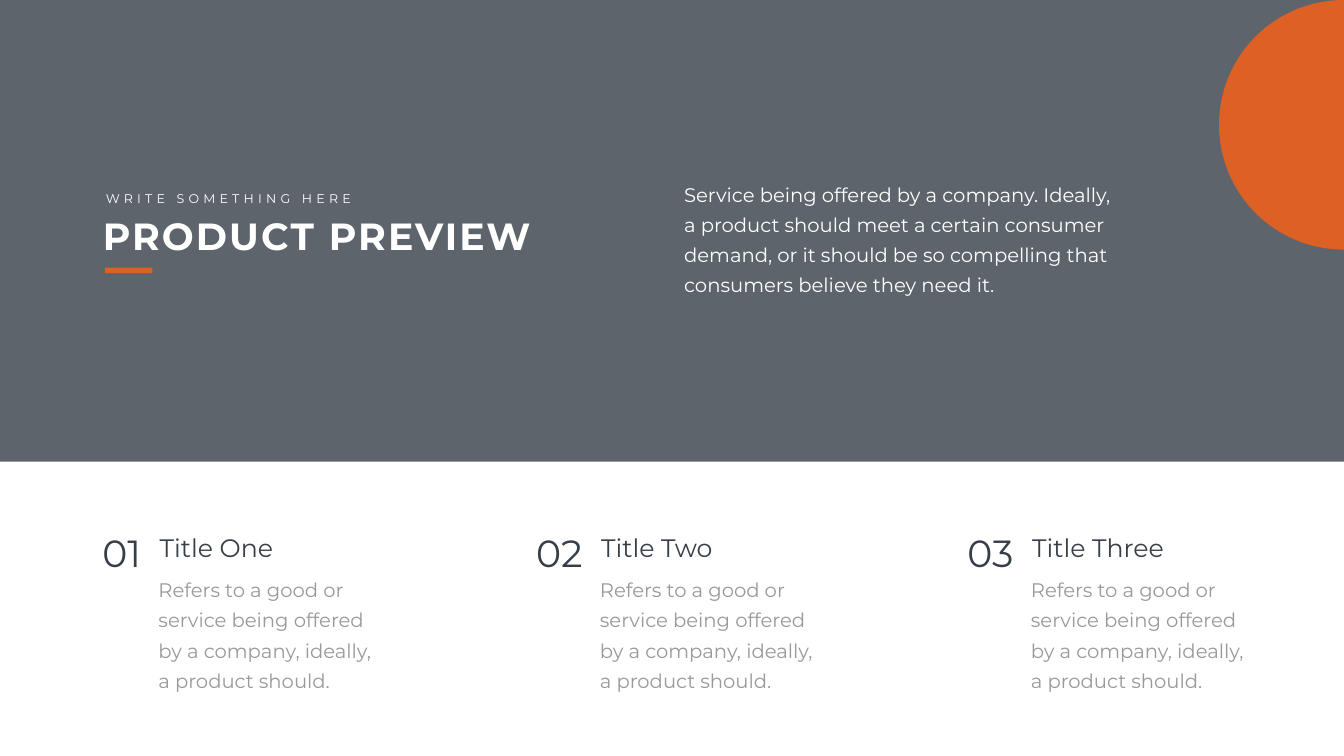
from lxml import etree
from pptx import Presentation
from pptx.dml.color import RGBColor
from pptx.enum.shapes import MSO_SHAPE
from pptx.enum.text import MSO_AUTO_SIZE, PP_ALIGN
from pptx.oxml.ns import qn
from pptx.util import Pt

RECT, CHORD = MSO_SHAPE.RECTANGLE, MSO_SHAPE.CHORD
GROW = MSO_AUTO_SIZE.SHAPE_TO_FIT_TEXT
LEFT, RIGHT = PP_ALIGN.LEFT, PP_ALIGN.RIGHT

WHITE = RGBColor(0xFF, 0xFF, 0xFF)
SLATE = RGBColor(0x36, 0x3E, 0x48)
GREY = RGBColor(0x99, 0x99, 0x99)
ORANGE = RGBColor(0xDD, 0x61, 0x25)

WIDE, HIGH = 1919.5, 1080
INTRO = ("Service being offered by a company. Ideally, a product should meet "
         "a certain consumer demand, or it should be so compelling that "
         "consumers believe they need it.")
BLURB = ("Refers to a good or service being offered by a company, ideally, "
         "a product should.")
ITEMS = [(209, "Title One"), (839.5, "Title Two"), (1455, "Title Three")]


class Deck:
    font = "Montserrat"
    body_size, leading = 28, 43
    pad = {"margin_left": 17.28, "margin_right": 17.28,
           "margin_top": 8.64, "margin_bottom": 8.64}

    def __init__(self, slide):
        self.slide = slide

    def shape(self, kind, box, color, alpha=None):
        """Add a filled shape without a line; alpha is opacity in percent."""
        item = self.slide.shapes.add_shape(kind, *map(Pt, box))
        item.shadow.inherit = False
        item.line.fill.background()
        item.fill.solid()
        item.fill.fore_color.rgb = color
        if alpha is not None:
            tint = item.fill._xPr.find(".//" + qn("a:srgbClr"))
            etree.SubElement(tint, qn("a:alpha")).set("val", str(alpha * 1000))
        return item

    def text(self, box, words, size, color, bold=False, track=0,
             align=LEFT, wrap=True):
        """Add one paragraph; track is letter spacing in points."""
        frame = self.slide.shapes.add_textbox(*map(Pt, box)).text_frame
        frame.word_wrap = wrap
        frame.auto_size = GROW
        para = frame.paragraphs[0]
        para.alignment = align
        run = para.add_run()
        run.text = words
        look = {"name": self.font, "size": Pt(size), "bold": bold}
        for key, value in look.items():
            setattr(run.font, key, value)
        run.font.color.rgb = color
        if track:
            run.font._element.set("spc", str(track * 100))
        return frame

    def body(self, box, words, color):
        frame = self.text(box, words, self.body_size, color)
        for key, value in self.pad.items():
            setattr(frame, key, Pt(value))
        frame.paragraphs[0].line_spacing = Pt(self.leading)

    def item(self, left, num, title):
        """Add a numbered column whose body starts at left."""
        self.body((left, 808, 358, 187), BLURB, GREY)
        self.text((left + 12, 756.5, 346, 51), title, 36, SLATE)
        self.text((left - 118, 752.5, 117.5, 73), f"{num:02}", 54, SLATE,
                  align=RIGHT)


def main():
    show = Presentation()
    show.slide_width, show.slide_height = Pt(WIDE), Pt(HIGH)
    slide = show.slides.add_slide(show.slide_layouts[6])
    back = slide.background.fill
    back.solid()
    back.fore_color.rgb = WHITE

    deck = Deck(slide)
    deck.shape(RECT, (0, 0, WIDE, 659.5), SLATE, alpha=80)
    deck.text((139.7, 300.2, 754, 73), "PRODUCT PREVIEW", 54, WHITE,
              bold=True, track=3)
    deck.text((144, 269.3, 373, 29), "WRITE SOMETHING HERE", 18, WHITE,
              track=6, wrap=False)
    deck.shape(RECT, (149.8, 382.3, 67.7, 7.9), ORANGE)
    deck.body((959.8, 243.4, 648.7, 187), INTRO, WHITE)

    for num, (left, title) in enumerate(ITEMS, 1):
        deck.item(left, num, title)

    # Chord angles of 90 and 270 degrees, in units of 100000/60000 degree
    half = deck.shape(CHORD, (1741, 0, 356.5, 356.5), ORANGE)
    half.adjustments[0], half.adjustments[1] = 54, 162

    show.save("out.pptx")


if __name__ == "__main__":
    main()
